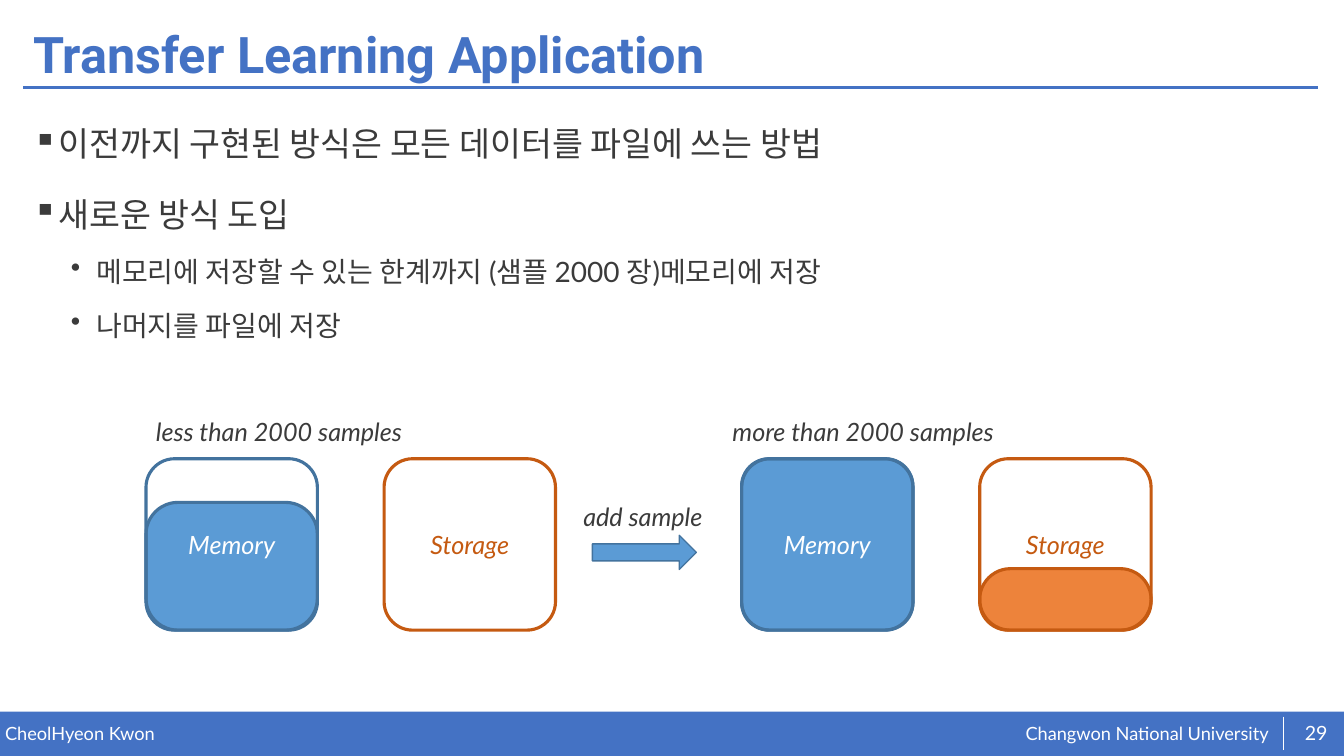
"""Build the slide on keeping transfer learning samples in memory and storage."""
from dataclasses import dataclass

from lxml.etree import SubElement
from pptx import Presentation
from pptx.dml.color import RGBColor
from pptx.enum.shapes import MSO_CONNECTOR, MSO_SHAPE
from pptx.enum.text import MSO_ANCHOR, PP_ALIGN
from pptx.oxml.ns import qn
from pptx.util import Cm, Pt

TITLE = "Transfer Learning Application"
BULLETS = [
    (0, "이전까지 구현된 방식은 모든 데이터를 파일에 쓰는 방법"),
    (0, "새로운 방식 도입"),
    (1, "메모리에 저장할 수 있는 한계까지 (샘플 2000 장)메모리에 저장"),
    (1, "나머지를 파일에 저장"),
]
AUTHOR = "CheolHyeon Kwon"
UNIVERSITY = " Changwon National University"
PAGE_NUMBER = "29"
STATES = [
    {"caption": "less than 2000 samples", "caption_left": 3.68, "left": 3.68,
     "memory": (3.22, 0.25), "storage": None},
    {"caption": "more than 2000 samples", "caption_left": 18.21, "left": 18.69,
     "memory": (4.32, 0.16), "storage": (1.55, 0.5)},
]
TRANSITION = "add sample"


@dataclass(frozen=True)
class Theme:
    """Colours, fonts and type sizes of the slide."""
    accent: str = "4472C4"
    text: str = "3B3B3B"
    white: str = "FFFFFF"
    memory_fill: str = "5B9BD5"
    memory_line: str = "43739E"
    storage_fill: str = "ED833B"
    storage_line: str = "C55A11"
    heading_font: str = "Roboto"
    body_font: str = "Lato"
    title_size: float = 36
    label_size: float = 18
    page_size: float = 14
    footer_size: float = 13


THEME = Theme()
LEVELS = [
    {"bullet": "▪", "indent": 0.64, "size": 24, "before": 10},
    {"bullet": "•", "indent": 1.6, "size": 20, "before": 5},
]
HANGING = 0.64
CONTAINER_SIZE = 4.32
CONTAINER_TOP = 11.56
STORAGE_OFFSET = 6
CAPTION_TOP = 10.36


def style_font(font, size, color, name=THEME.body_font, bold=False, italic=False):
    """Apply typeface, size, colour and emphasis to a font."""
    font.name, font.size = name, Pt(size)
    font.bold, font.italic = bold, italic
    font.color.rgb = RGBColor.from_string(color)


def add_text(slide, text, left, top, width, height, size, color, italic=False,
             align=PP_ALIGN.LEFT, anchor=MSO_ANCHOR.TOP, margin=None):
    """Add a one-paragraph text box."""
    box = slide.shapes.add_textbox(Cm(left), Cm(top), Cm(width), Cm(height))
    frame = box.text_frame
    frame.word_wrap, frame.vertical_anchor = True, anchor
    if margin is not None:
        frame.margin_left = frame.margin_right = Cm(margin)
        frame.margin_top = frame.margin_bottom = Cm(margin)
    paragraph = frame.paragraphs[0]
    paragraph.text, paragraph.alignment = text, align
    style_font(paragraph.font, size, color, italic=italic)


def add_block(slide, kind, left, top, width, height, fill=None, line=None,
              weight=2.25, corner=None):
    """Add a flat preset shape with optional fill and outline."""
    shape = slide.shapes.add_shape(kind, Cm(left), Cm(top), Cm(width), Cm(height))
    shape.shadow.inherit = False
    if fill:
        shape.fill.solid()
        shape.fill.fore_color.rgb = RGBColor.from_string(fill)
    else:
        shape.fill.background()
    if line:
        shape.line.color.rgb = RGBColor.from_string(line)
        shape.line.width = Pt(weight)
    else:
        shape.line.fill.background()
    if corner is not None:
        shape.adjustments[0] = corner
    return shape


def add_rule(slide, start, end, color, weight):
    """Add a straight line between two points."""
    rule = slide.shapes.add_connector(MSO_CONNECTOR.STRAIGHT, *map(Cm, start + end))
    rule.line.color.rgb = RGBColor.from_string(color)
    rule.line.width = Pt(weight)
    SubElement(rule._element.spPr, qn("a:effectLst"))


def add_container(slide, label, left, level, fill, line, label_color):
    """Add a labelled container filled from the bottom up to a level."""
    def add_level():
        height, corner = level
        add_block(slide, MSO_SHAPE.ROUNDED_RECTANGLE, left,
                  CONTAINER_TOP + CONTAINER_SIZE - height,
                  CONTAINER_SIZE, height, fill, line, corner=corner)

    if level:
        add_level()
    outline = add_block(slide, MSO_SHAPE.ROUNDED_RECTANGLE, left, CONTAINER_TOP,
                        CONTAINER_SIZE, CONTAINER_SIZE, line=line)
    outline.text_frame.vertical_anchor = MSO_ANCHOR.MIDDLE
    paragraph = outline.text_frame.paragraphs[0]
    paragraph.text, paragraph.alignment = label, PP_ALIGN.CENTER
    style_font(paragraph.font, THEME.label_size, label_color, italic=True)


def add_footer(slide):
    """Add the footer band with author, university and page number."""
    add_block(slide, MSO_SHAPE.RECTANGLE, 0, 17.93, 33.87, 1.12, fill=THEME.accent)
    add_text(slide, UNIVERSITY, 25.73, 18.19, 6.88, 0.58, THEME.footer_size,
             THEME.white, margin=0)
    add_text(slide, AUTHOR, 0.13, 18.21, 16.64, 0.56, THEME.footer_size,
             THEME.white, margin=0)
    add_rule(slide, (32.33, 18.06), (32.33, 18.9), THEME.white, 0.5)
    add_text(slide, PAGE_NUMBER, 32.56, 17.96, 1.22, 1.02, THEME.page_size,
             THEME.white, align=PP_ALIGN.CENTER, anchor=MSO_ANCHOR.MIDDLE, margin=0)


def add_title(slide):
    """Format the title placeholder and underline it."""
    title = slide.shapes.title
    title.left, title.top, title.width, title.height = map(Cm, (0.58, 0.46, 32.66, 1.96))
    title.text_frame.vertical_anchor = MSO_ANCHOR.MIDDLE
    paragraph = title.text_frame.paragraphs[0]
    paragraph.text, paragraph.alignment = TITLE, PP_ALIGN.LEFT
    paragraph.line_spacing = 0.9
    style_font(paragraph.font, THEME.title_size, THEME.accent,
               THEME.heading_font, bold=True)
    add_rule(slide, (0.58, 2.21), (33.22, 2.21), THEME.accent, 2)


def add_bullets(slide):
    """Add the two-level bullet list."""
    frame = slide.shapes.add_textbox(Cm(0.58), Cm(2.57), Cm(32.66), Cm(7)).text_frame
    frame.word_wrap = True
    for index, (level, text) in enumerate(BULLETS):
        style = LEVELS[level]
        paragraph = frame.add_paragraph() if index else frame.paragraphs[0]
        paragraph.text, paragraph.level = text, level
        properties = paragraph._p.get_or_add_pPr()
        properties.set("marL", str(Cm(style["indent"])))
        properties.set("indent", str(-Cm(HANGING)))
        SubElement(properties, qn("a:buChar"), char=style["bullet"])
        paragraph.line_spacing = 1.4
        paragraph.space_before = Pt(style["before"] if index else 0)
        style_font(paragraph.font, style["size"], THEME.text)


def add_diagram(slide):
    """Add both memory and storage states and the arrow between them."""
    for state in STATES:
        add_text(slide, state["caption"], state["caption_left"], CAPTION_TOP, 8, 1.02,
                 THEME.label_size, THEME.text, italic=True)
        add_container(slide, "Memory", state["left"], state["memory"],
                      THEME.memory_fill, THEME.memory_line, THEME.white)
        add_container(slide, "Storage", state["left"] + STORAGE_OFFSET, state["storage"],
                      THEME.storage_fill, THEME.storage_line, THEME.storage_line)
    add_block(slide, MSO_SHAPE.RIGHT_ARROW, 14.93, 13.49, 2.62, 0.86,
              THEME.memory_fill, THEME.memory_line, weight=1)
    add_text(slide, TRANSITION, 14.45, 12.5, 6.45, 1.02, THEME.label_size,
             THEME.text, italic=True)


def main():
    """Assemble and save the presentation."""
    presentation = Presentation()
    presentation.slide_width, presentation.slide_height = Cm(33.87), Cm(19.05)
    slide = presentation.slides.add_slide(presentation.slide_layouts[5])
    add_footer(slide)
    add_title(slide)
    add_bullets(slide)
    add_diagram(slide)
    presentation.save("out.pptx")


if __name__ == "__main__":
    main()
